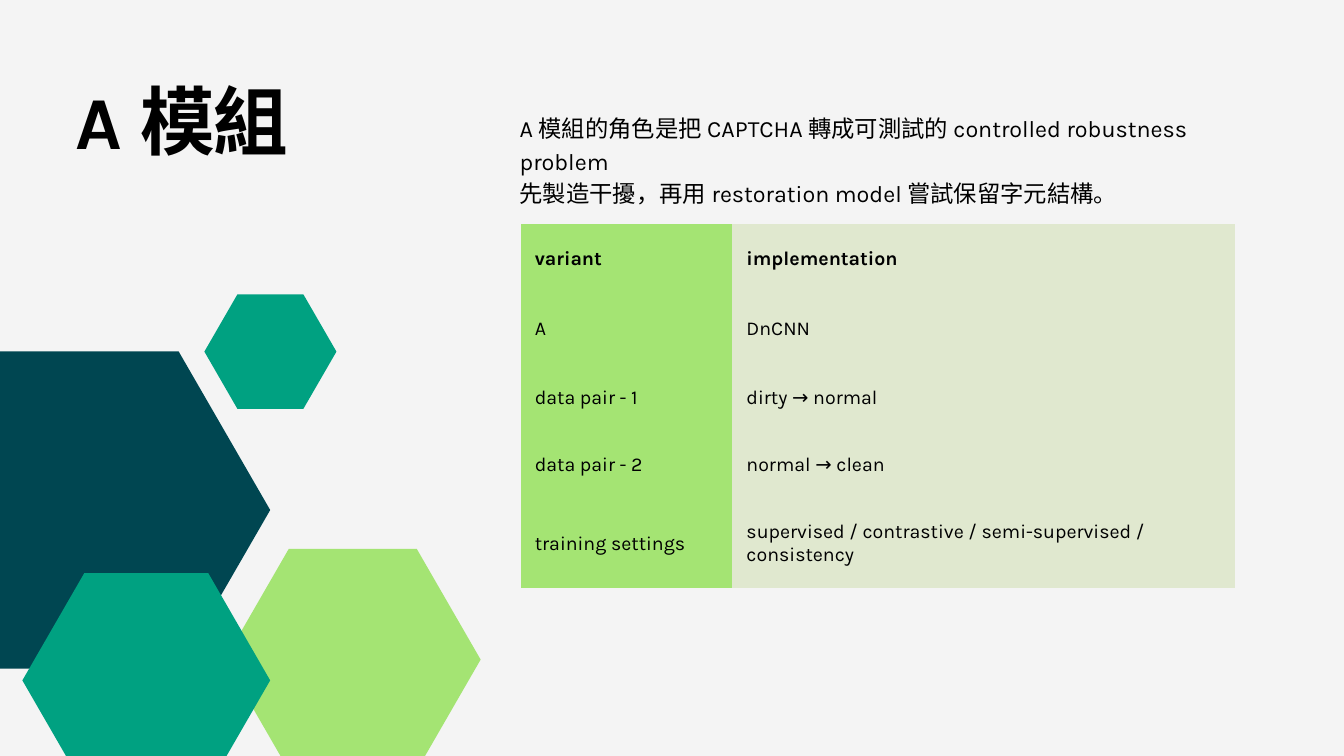
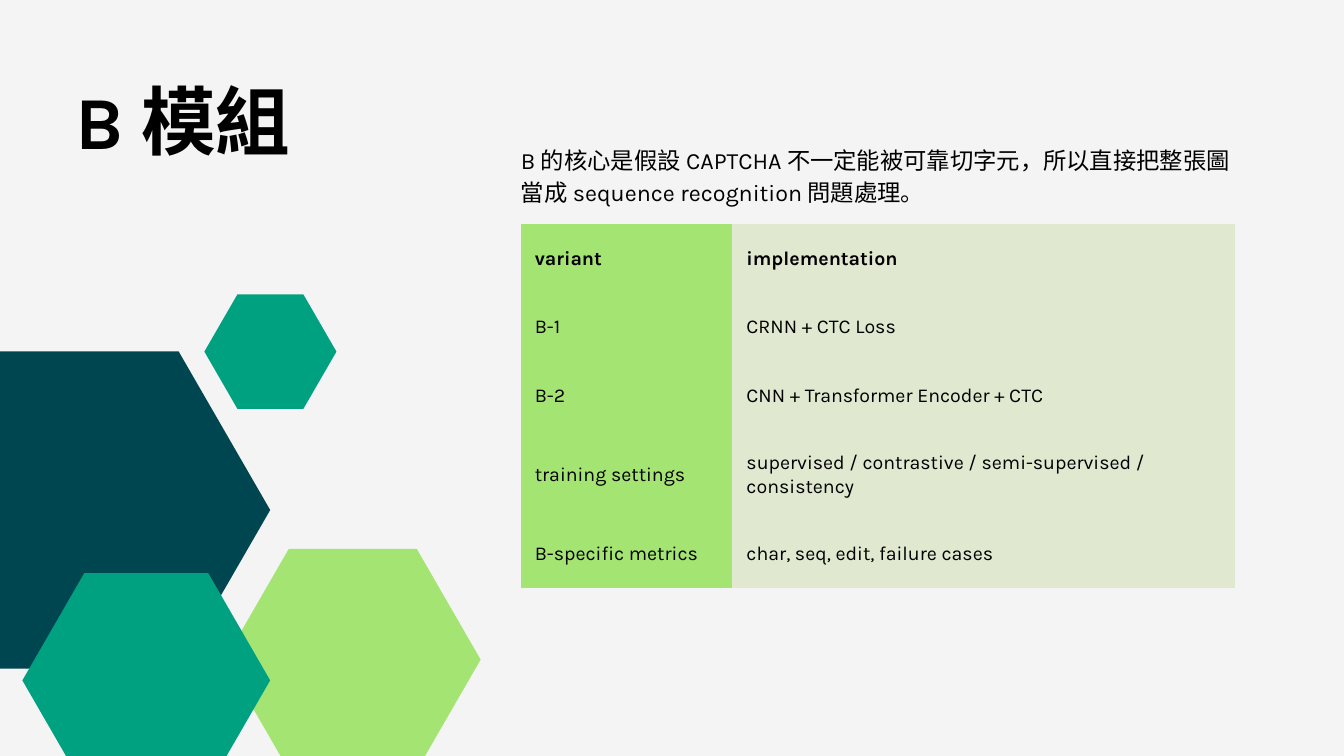
from lxml import etree
from pptx import Presentation
from pptx.dml.color import RGBColor
from pptx.enum.text import MSO_ANCHOR, MSO_AUTO_SIZE, PP_ALIGN
from pptx.oxml.ns import qn
from pptx.util import Pt

TOP, MIDDLE = MSO_ANCHOR.TOP, MSO_ANCHOR.MIDDLE
GROW = MSO_AUTO_SIZE.SHAPE_TO_FIT_TEXT
LEFT = PP_ALIGN.LEFT

FONT = "Karla"
BACKGROUND, BLACK, CELL_TEXT = "F4F4F4", "000000", "000001"
NAVY, GREEN, LIME, SAGE = "004651", "00A181", "A4E473", "E0E8CF"

SLIDES = [
    {
        "title": "A 模組",
        "intro": [
            "A 模組的角色是把 CAPTCHA 轉成可測試的 controlled robustness problem",
            "先製造干擾，再用 restoration model 嘗試保留字元結構。",
        ],
        "intro_left": 556.8,
        "intro_top": 117.4,
        "rows": [
            ("variant", "implementation", 73.5),
            ("A", "DnCNN", 77),
            ("data pair - 1", "dirty → normal", 70),
            ("data pair - 2", "normal → clean", 73.5),
            ("training settings",
             "supervised / contrastive / semi-supervised / consistency", 96),
        ],
    },
    {
        "title": "B 模組",
        "intro": [
            "B 的核心是假設 CAPTCHA 不一定能被可靠切字元，所以直接把整張圖當成 "
            "sequence recognition 問題處理。",
        ],
        "intro_left": 558,
        "intro_top": 151.2,
        "rows": [
            ("variant", "implementation", 73.5),
            ("B-1", "CRNN + CTC Loss", 73.5),
            ("B-2", "CNN + Transformer Encoder + CTC", 73.5),
            ("training settings",
             "supervised / contrastive / semi-supervised / consistency", 96),
            ("B-specific metrics", "char, seq, edit, failure cases", 73.5),
        ],
    },
]

HEXAGONS = [
    (-103, 376.5, 392.5, 340, NAVY),
    (241, 588, 274, 237.5, LIME),
    (219, 315.5, 141.5, 122.5, GREEN),
    (24, 614, 265.5, 230, GREEN),
]
HEX_POINTS = [(0, 0.5), (0.25, 0), (0.75, 0), (1, 0.5), (0.75, 1), (0.25, 1)]

TITLE_BOX = (80.5, 80, 434, 96.5)
INTRO_WIDTH, INTRO_BOTTOM = 765.5, 219.3
TABLE_LEFT, TABLE_TOP = 558, 240.3
COLUMNS = [(226.8, LIME), (538.7, SAGE)]
CELL_MARGIN = 15

TITLE_STYLE = {"size": Pt(80), "bold": True}
INTRO_STYLE = {"size": Pt(25), "bold": False}
HEADER_STYLE = {"size": Pt(21), "bold": True}
BODY_STYLE = {"size": Pt(21), "bold": False}


def rgb(value):
    return RGBColor.from_string(value)


def set_margins(target, value):
    for side in ("left", "top", "right", "bottom"):
        setattr(target, f"margin_{side}", Pt(value))


def write(tf, lines, style, spacing, color=BLACK, tracking=None):
    for i, line in enumerate(lines):
        p = tf.paragraphs[0] if i == 0 else tf.add_paragraph()
        p.alignment, p.line_spacing = LEFT, Pt(spacing)
        p.space_before = p.space_after = Pt(0)
        r = p.add_run()
        r.text = line
        for name, value in style.items():
            setattr(r.font, name, value)
        r.font.color.rgb = rgb(color)
        r.font.name = FONT
        r_pr = r._r.get_or_add_rPr()
        etree.SubElement(r_pr, qn("a:ea")).set("typeface", FONT)
        if tracking is not None:
            r_pr.set("spc", str(tracking))


def format_box(sp, box):
    sp.left, sp.top, sp.width, sp.height = (Pt(v) for v in box)
    tf = sp.text_frame
    tf.word_wrap, tf.auto_size, tf.vertical_anchor = True, GROW, TOP
    set_margins(tf, 0)
    return tf


def add_hexagon(s, left, top, width, height, color):
    points = [(Pt(left + x * width), Pt(top + y * height)) for x, y in HEX_POINTS]
    builder = s.shapes.build_freeform(*points[0])
    builder.add_line_segments(points[1:], close=True)
    sp = builder.convert_to_shape()
    sp.shadow.inherit = False
    sp.fill.solid()
    sp.fill.fore_color.rgb = rgb(color)
    sp.line.fill.background()


def format_cell(cell, text, style, color):
    set_margins(cell, CELL_MARGIN)
    cell.vertical_anchor = MIDDLE
    tc_pr = cell._tc.get_or_add_tcPr()
    for edge in ("lnL", "lnR", "lnT", "lnB"):
        line = etree.SubElement(tc_pr, qn(f"a:{edge}"), w="0")
        etree.SubElement(line, qn("a:noFill"))
    cell.fill.solid()
    cell.fill.fore_color.rgb = rgb(color)
    write(cell.text_frame, [text], style, 25.2, CELL_TEXT)


def add_variant_table(s, rows):
    width = sum(w for w, _ in COLUMNS)
    height = sum(row[-1] for row in rows)
    table = s.shapes.add_table(len(rows), len(COLUMNS), Pt(TABLE_LEFT), Pt(TABLE_TOP),
                               Pt(width), Pt(height)).table
    table.horz_banding = False
    for j, (column_width, _) in enumerate(COLUMNS):
        table.columns[j].width = Pt(column_width)
    for i, (*texts, row_height) in enumerate(rows):
        table.rows[i].height = Pt(row_height)
        style = BODY_STYLE if i else HEADER_STYLE
        for j, (text, (_, color)) in enumerate(zip(texts, COLUMNS)):
            format_cell(table.cell(i, j), text, style, color)


def add_module_slide(prs, content):
    s = prs.slides.add_slide(prs.slide_layouts[5])
    s.background.fill.solid()
    s.background.fill.fore_color.rgb = rgb(BACKGROUND)
    tf = format_box(s.shapes.title, TITLE_BOX)
    write(tf, [content["title"]], TITLE_STYLE, 96, tracking=-80)
    for hexagon in HEXAGONS:
        add_hexagon(s, *hexagon)
    top = content["intro_top"]
    box = (content["intro_left"], top, INTRO_WIDTH, INTRO_BOTTOM - top)
    intro = s.shapes.add_textbox(0, 0, 0, 0)
    write(format_box(intro, box), content["intro"], INTRO_STYLE, 35)
    add_variant_table(s, content["rows"])


def main():
    prs = Presentation()
    prs.slide_width, prs.slide_height = Pt(1440), Pt(810)
    for content in SLIDES:
        add_module_slide(prs, content)
    prs.save("out.pptx")


if __name__ == "__main__":
    main()
